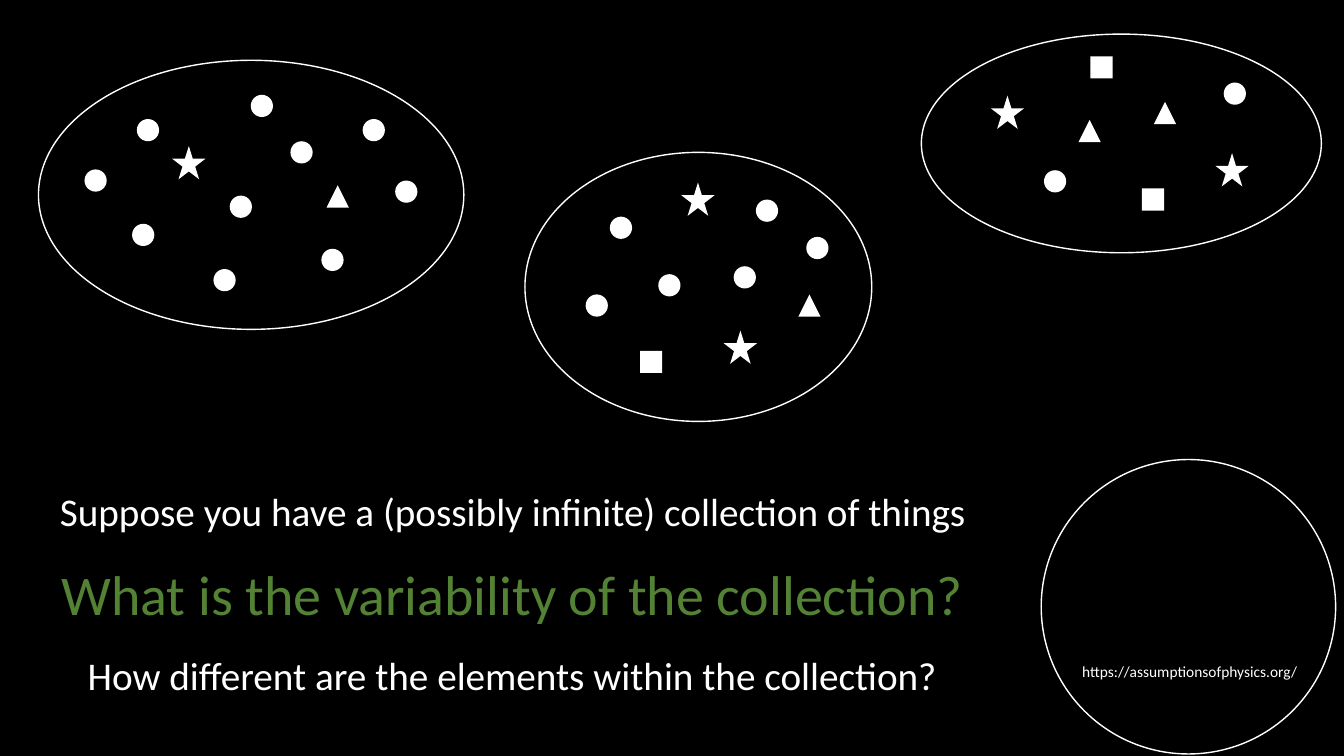
"""Build a slide on the variability of three collections of things."""
from pptx import Presentation
from pptx.dml.color import RGBColor
from pptx.enum.shapes import MSO_SHAPE
from pptx.enum.text import MSO_ANCHOR, MSO_AUTO_SIZE, PP_ALIGN
from pptx.util import Cm, Pt

OVAL = MSO_SHAPE.OVAL
STAR = MSO_SHAPE.STAR_5_POINT
WEDGE = MSO_SHAPE.ISOSCELES_TRIANGLE
BOX = MSO_SHAPE.RECTANGLE
MIDDLE = MSO_ANCHOR.MIDDLE
FIXED = MSO_AUTO_SIZE.NONE
CENTER = PP_ALIGN.CENTER
WHITE, BLACK, GREEN = "FFFFFF", "000000", "548235"


def draw(shapes, kind, area, fill=None):
    shape = shapes.add_shape(kind, *map(Cm, area))
    shape.shadow.inherit = False
    if fill:
        shape.fill.solid()
        shape.fill.fore_color.rgb = RGBColor.from_string(fill)
        shape.line.fill.background()
    else:
        shape.fill.background()
        shape.line.color.rgb = RGBColor.from_string(WHITE)
        shape.line.width = Pt(1)


def write(shape, text, area, size, color):
    shape.left, shape.top, shape.width, shape.height = map(Cm, area)
    frame = shape.text_frame
    frame.text = text
    frame.word_wrap = False
    frame.auto_size = FIXED
    frame.vertical_anchor = MIDDLE
    line = frame.paragraphs[0]
    line.alignment = CENTER
    line.line_spacing = 1.0
    line.font.name = "Calibri"
    line.font.size = Pt(size)
    line.font.color.rgb = RGBColor.from_string(color)


deck = Presentation()
deck.slide_width, deck.slide_height = Cm(33.87), Cm(19.05)
slide = deck.slides.add_slide(deck.slide_layouts[5])
slide.background.fill.solid()
slide.background.fill.fore_color.rgb = RGBColor.from_string(BLACK)

draw(slide.shapes, OVAL, (26.24, 11.58, 7.42, 7.42))

sizes = {OVAL: 0.56, WEDGE: 0.56, BOX: 0.56, STAR: 0.84}
groups = [
    ((0.97, 1.52, 10.72, 6.78), {
        STAR: [(4.34, 3.68)],
        WEDGE: [(8.23, 4.67)],
        OVAL: [(3.45, 3.0), (2.13, 4.27), (3.33, 5.64), (6.32, 2.39),
               (5.79, 4.93), (7.32, 3.56), (9.96, 4.55), (8.1, 6.27),
               (5.38, 6.78), (9.14, 3.0)],
    }),
    ((23.22, 0.86, 10.08, 5.51), {
        STAR: [(24.97, 2.41), (30.63, 3.86)],
        WEDGE: [(27.18, 3.02), (29.08, 2.57)],
        BOX: [(27.48, 1.42), (28.78, 4.75)],
        OVAL: [(26.31, 4.29), (30.84, 2.08)],
    }),
    ((13.23, 3.84, 8.74, 6.78), {
        STAR: [(18.24, 8.33), (17.17, 4.6)],
        WEDGE: [(20.12, 7.42)],
        BOX: [(16.13, 8.84)],
        OVAL: [(14.76, 7.42), (15.37, 5.46), (20.32, 5.97), (18.49, 6.71),
               (16.59, 6.91), (19.05, 5.03)],
    }),
]
for rim, things in groups:
    group = slide.shapes.add_group_shape()
    draw(group.shapes, OVAL, rim)
    for kind, spots in things.items():
        for left, top in spots:
            draw(group.shapes, kind, (left, top, sizes[kind], sizes[kind]), WHITE)

write(slide.shapes.title, "What is the variability of the collection?",
      (1.19, 13.97, 23.44, 1.96), 40, GREEN)
labels = [
    ("Suppose you have a (possibly infinite) collection of things",
     (1.12, 12.14, 23.6, 1.45), 28),
    ("How different are the elements within the collection?",
     (1.83, 16.28, 22.15, 1.45), 28),
    ("https://assumptionsofphysics.org/", (27, 16.54, 5.97, 0.74), 11),
]
for text, area, size in labels:
    label = slide.shapes.add_textbox(*map(Cm, area))
    write(label, text, area, size, WHITE)

deck.save("out.pptx")
